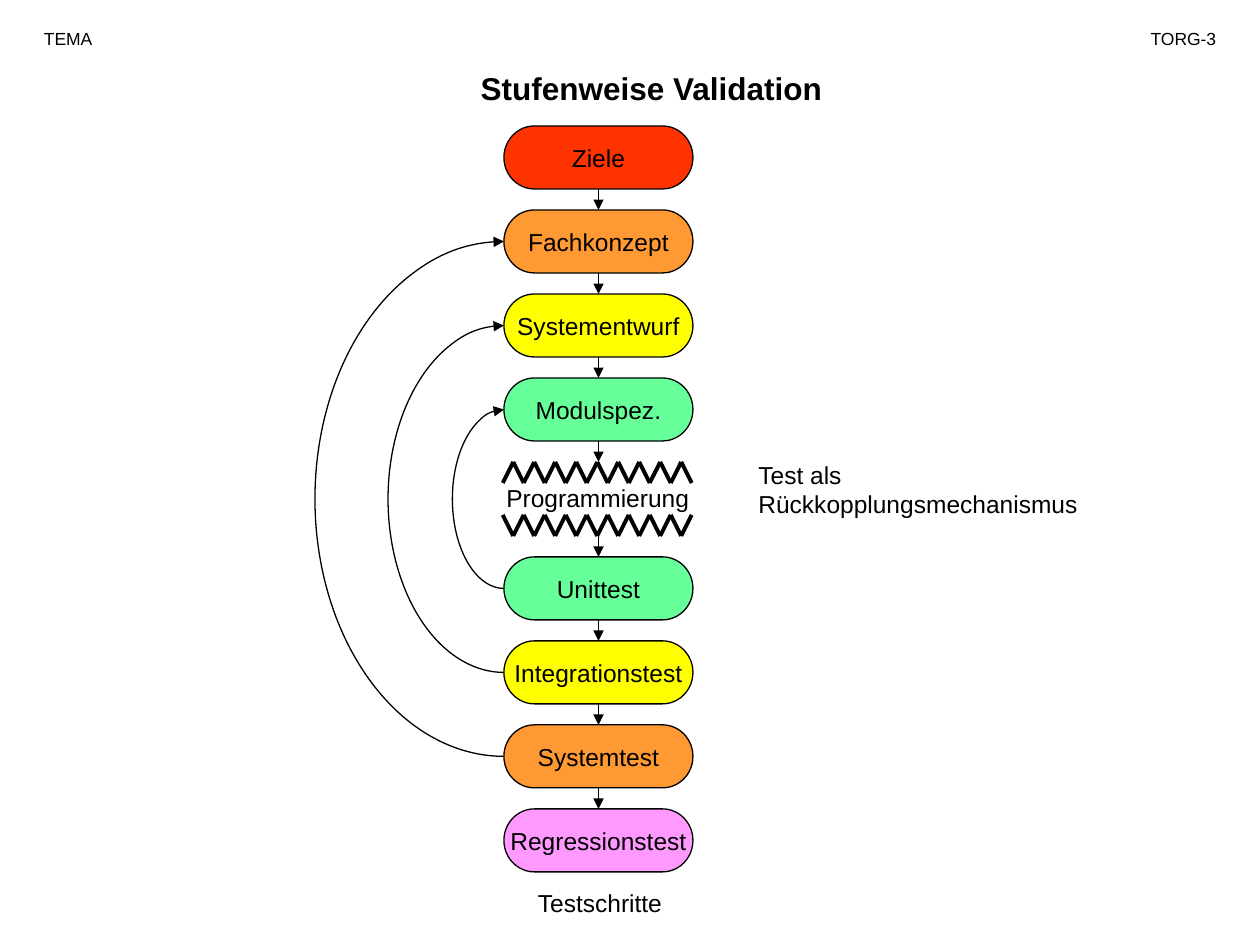
from pptx import Presentation
from pptx.dml.color import RGBColor
from pptx.enum.shapes import MSO_CONNECTOR, MSO_SHAPE
from pptx.enum.text import MSO_ANCHOR, PP_ALIGN
from pptx.oxml.ns import qn
from pptx.util import Inches, Pt
from lxml import etree

STRAIGHT = MSO_CONNECTOR.STRAIGHT
TERMINATOR = MSO_SHAPE.FLOWCHART_TERMINATOR
ARC = MSO_SHAPE.ARC
MIDDLE = MSO_ANCHOR.MIDDLE
LEFT, CENTER, RIGHT = PP_ALIGN.LEFT, PP_ALIGN.CENTER, PP_ALIGN.RIGHT

FONT = "Arial"
BLACK = "000000"
RED, ORANGE, YELLOW, GREEN, PINK = "FF3300", "FF9933", "FFFF00", "66FF99", "FF99FF"

DESIGN_STEPS = [("Ziele", RED), ("Fachkonzept", ORANGE),
                ("Systementwurf", YELLOW), ("Modulspez.", GREEN)]
TEST_STEPS = [("Unittest", GREEN), ("Integrationstest", YELLOW),
              ("Systemtest", ORANGE), ("Regressionstest", PINK)]
# design step, test step that checks it, reach of the arc to the left
FEEDBACK = [(3, 0, 0.41), (2, 1, 0.92), (1, 2, 1.5)]

STEP_HEIGHT = 0.5
GAP = 1 / 6
PITCH = STEP_HEIGHT + GAP
TEETH = 9


def rgb(value):
    return RGBColor.from_string(value)


def write(frame, text, size, align, bold=False):
    frame.text = text
    for paragraph in frame.paragraphs:
        paragraph.alignment = align
        for run in paragraph.runs:
            run.font.name = FONT
            run.font.size = Pt(size)
            run.font.bold = bold
            run.font.color.rgb = rgb(BLACK)


def add_label(slide, box, text, size=14, align=LEFT, bold=False):
    label = slide.shapes.add_textbox(*map(Inches, box))
    label.text_frame.word_wrap = True
    write(label.text_frame, text, size, align, bold)


def set_stroke(line, width=0.75):
    line.color.rgb = rgb(BLACK)
    line.width = Pt(width)


def add_arrowhead(shape):
    outline = shape._element.spPr.find(qn("a:ln"))
    etree.SubElement(outline, qn("a:tailEnd"), type="triangle")


def add_line(shapes, start, end, width=0.75):
    line = shapes.add_connector(STRAIGHT, *map(Inches, (*start, *end)))
    set_stroke(line.line, width)
    etree.SubElement(line._element.spPr, qn("a:effectLst"))
    return line


def add_steps(slide, box, steps):
    left, top, width, height = box
    for row, (name, color) in enumerate(steps):
        step = slide.shapes.add_shape(
            TERMINATOR, *map(Inches, (left, top + row * PITCH, width, height)))
        step.shadow.inherit = False
        step.fill.solid()
        step.fill.fore_color.rgb = rgb(color)
        set_stroke(step.line)
        step.text_frame.word_wrap = False
        step.text_frame.vertical_anchor = MIDDLE
        write(step.text_frame, name, 14, CENTER)


def add_step_arrows(slide, x, top, count):
    for row in range(count):
        y = top + row * PITCH
        add_arrowhead(add_line(slide.shapes, (x, y), (x, y + GAP)))


def add_zigzag(slide, box, peaks_up):
    left, top, width, height = box
    tooth = width / TEETH
    peak, foot = (top, top + height) if peaks_up else (top + height, top)
    zigzag = slide.shapes.add_group_shape()
    for number in range(TEETH):
        x = left + number * tooth
        for foot_x in (x, x + tooth):
            add_line(zigzag.shapes, (x + tooth / 2, peak), (foot_x, foot), 2.25)


def add_feedback(slide, box):
    """Draw the left half of the ellipse in the box, from bottom to top."""
    arc = slide.shapes.add_shape(ARC, *map(Inches, box))
    arc.shadow.inherit = False
    # Angles of 90 and 270 degrees, in units of 5/3 degree
    arc.adjustments[0] = 54
    arc.adjustments[1] = 162
    arc.fill.background()
    set_stroke(arc.line)
    add_arrowhead(arc)


def add_header(slide, box):
    left, top, width, height = box
    add_label(slide, (2.17, 0.5, 6, 0.4), "Stufenweise Validation", 18, CENTER, True)
    add_label(slide, (left, top, 0.92, height), "TEMA", 10)
    add_label(slide, (left + width - 1.08, top, 1.08, height), "TORG-3", 10, RIGHT)


def add_flow(slide, box):
    left, top, width, height = box
    center = left + width / 2
    test_top = top + height - 3 * PITCH - STEP_HEIGHT
    code_top = top + 4 * PITCH
    code_bottom = test_top - GAP

    add_label(slide, (left - 0.08, code_top + 0.12, 1.68, 0.34), "Programmierung")
    add_zigzag(slide, (left - 0.01, code_top, width, GAP), True)
    add_zigzag(slide, (left - 0.01, code_bottom - GAP, width, GAP), False)
    add_steps(slide, (left, top, width, STEP_HEIGHT), DESIGN_STEPS)
    add_steps(slide, (left, test_top, width, STEP_HEIGHT), TEST_STEPS)
    for design, test, reach in FEEDBACK:
        start = top + design * PITCH + STEP_HEIGHT / 2
        end = test_top + test * PITCH + STEP_HEIGHT / 2
        add_feedback(slide, (left - reach, start, 2 * reach, end - start))
    add_step_arrows(slide, center, top + STEP_HEIGHT, len(DESIGN_STEPS))
    add_step_arrows(slide, center, code_bottom, len(TEST_STEPS))


def main():
    deck = Presentation()
    deck.slide_width, deck.slide_height = Inches(10), Inches(7.5)
    slide = deck.slides.add_slide(deck.slide_layouts[6])
    add_header(slide, (0.25, 0.17, 9.5, 0.27))
    add_flow(slide, (4, 1, 1.5, 5.92))
    add_label(slide, (4.17, 7, 1.25, 0.34), "Testschritte")
    add_label(slide, (5.92, 3.6, 2.75, 0.57), "Test als \vRückkopplungsmechanismus")
    deck.save("out.pptx")


if __name__ == "__main__":
    main()
